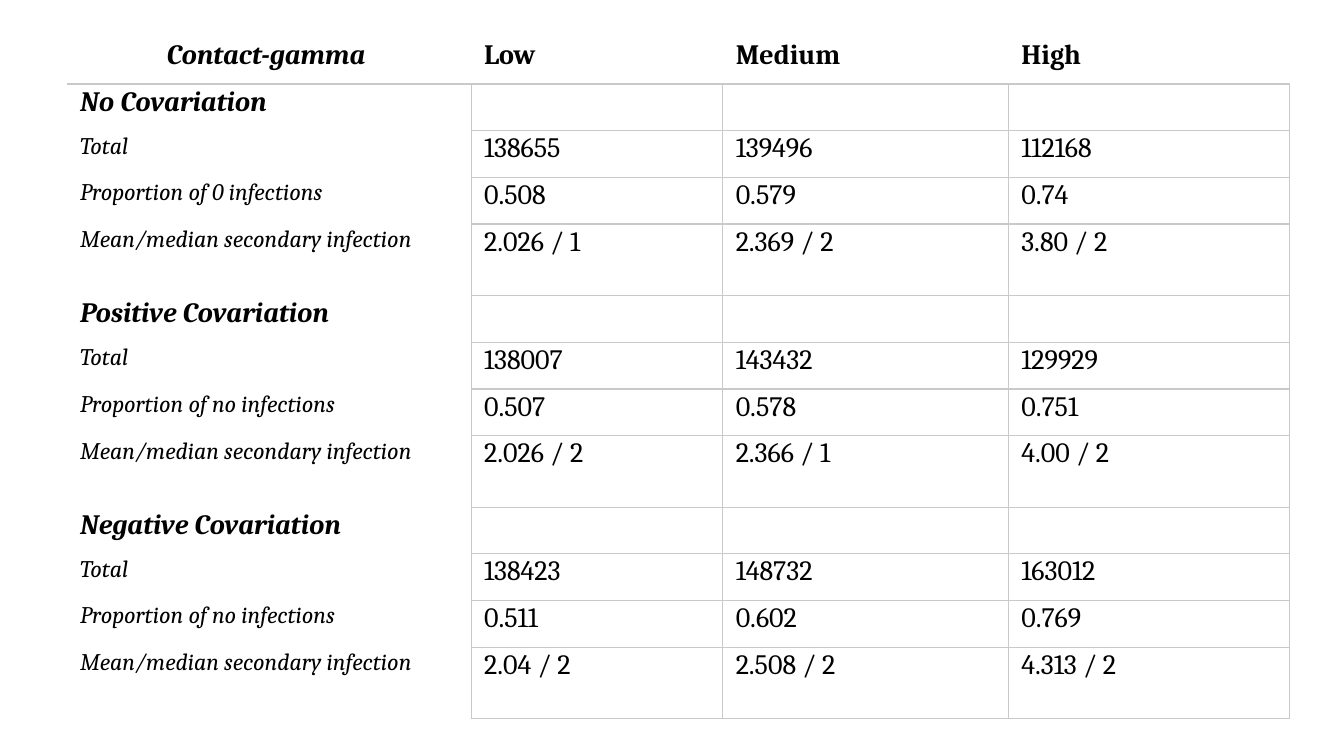
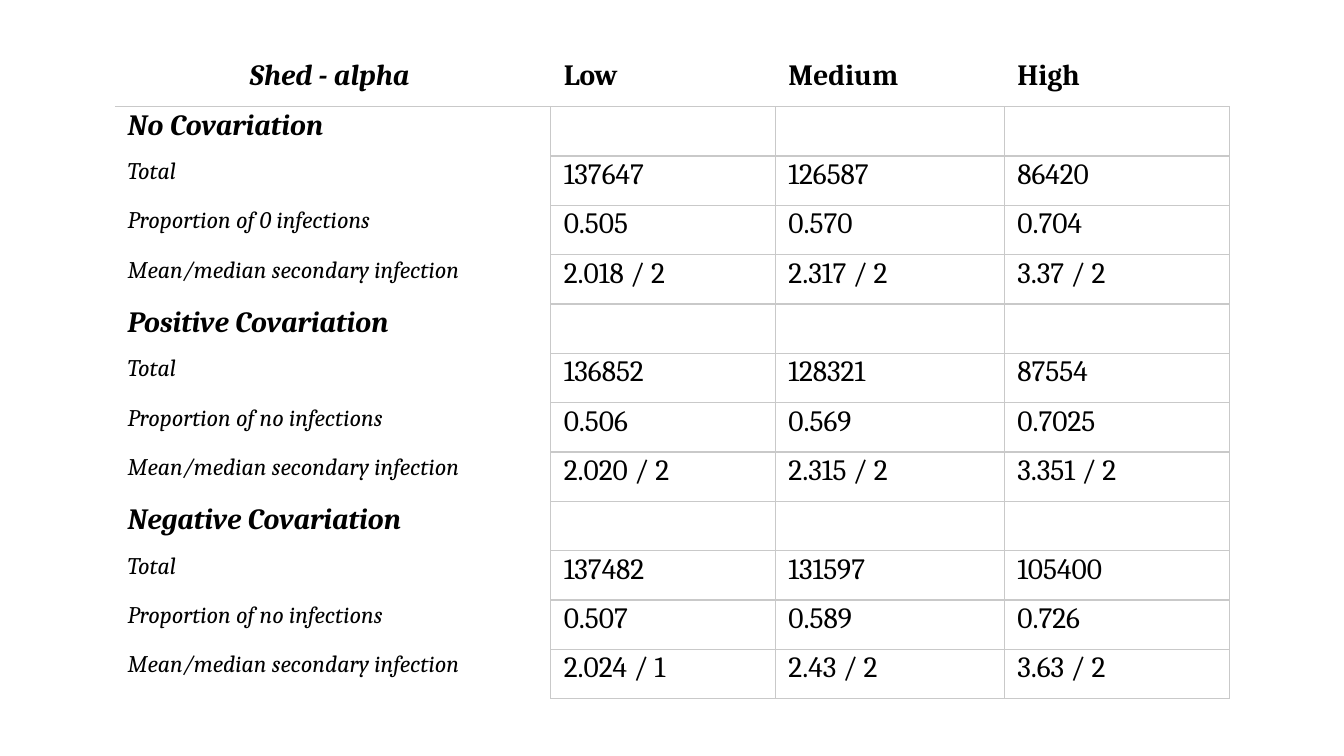
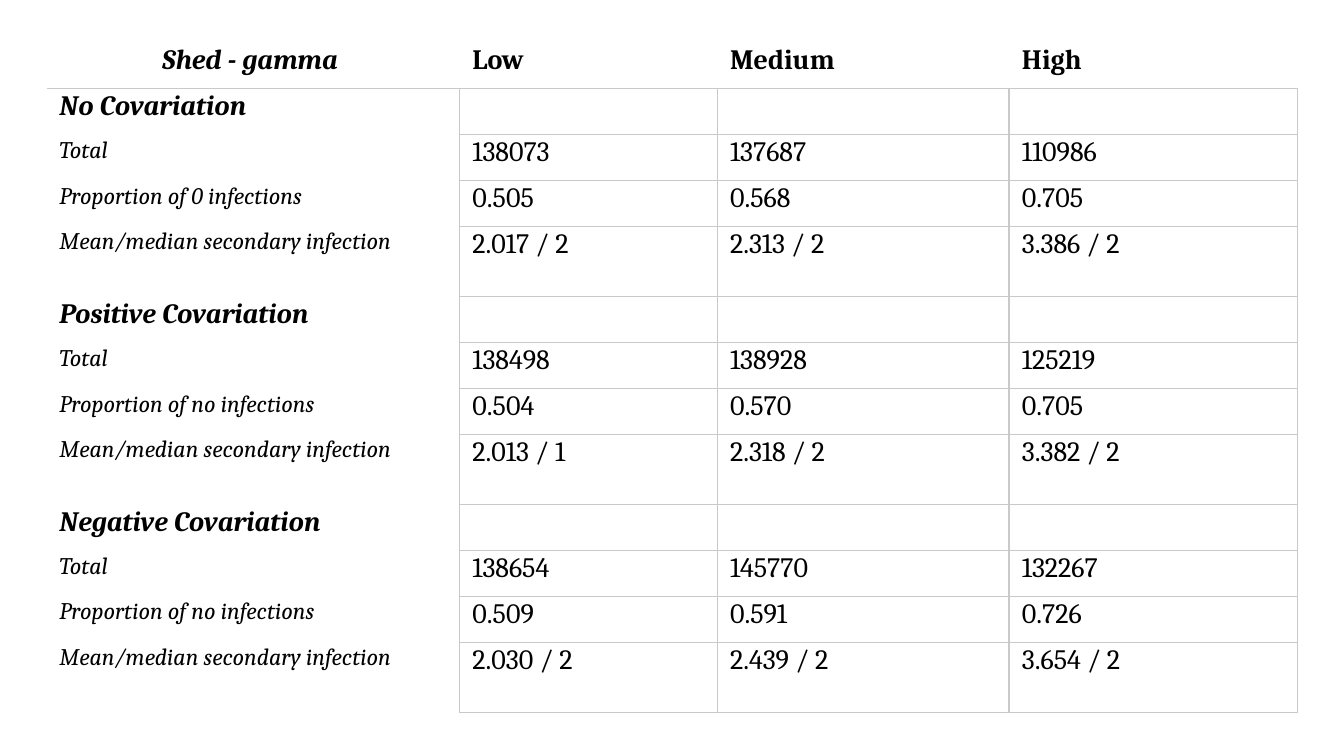
"""Build three tables of secondary infections by covariation scenario."""
import dataclasses

import pptx
import pptx.dml.color
import pptx.enum.text
import pptx.oxml
import pptx.oxml.ns
import pptx.util

Pt = pptx.util.Pt

LEVELS = ("Low", "Medium", "High")
SCENARIOS = (
    ("No Covariation", "Proportion of 0 infections"),
    ("Positive Covariation", "Proportion of no infections"),
    ("Negative Covariation", "Proportion of no infections"),
)
TABLES = (
    {
        "title": "Contact-gamma ",
        "left": 48, "top": 26.7, "size": 20,
        "columns": (288.6, 179.8, 204, 201),
        "row": 33.35, "last_row": 51.1,
        "values": (
            (("138655", "139496", "112168"),
             ("0.508", "0.579", "0.74"),
             ("2.026 / 1", "2.369 / 2", "3.80 / 2")),
            (("138007", "143432", "129929"),
             ("0.507", "0.578", "0.751"),
             ("2.026 / 2", "2.366 / 1", "4.00 / 2")),
            (("138423", "148732", "163012"),
             ("0.511", "0.602", "0.769"),
             ("2.04 / 2", "2.508 / 2", "4.313 / 2")),
        ),
    },
    {
        "title": "Shed - alpha ",
        "left": 82, "top": 41, "size": 21,
        "columns": (311.5, 160.5, 163.5, 160.5),
        "row": 35.25, "last_row": 35.25,
        "values": (
            (("137647", "126587", "86420"),
             ("0.505", "0.570", "0.704"),
             ("2.018 / 2", "2.317 / 2", "3.37 / 2")),
            (("136852", "128321", "87554"),
             ("0.506", "0.569", "0.7025"),
             ("2.020 / 2", "2.315 / 2", "3.351 / 2")),
            (("137482", "131597", "105400"),
             ("0.507", "0.589", "0.726"),
             ("2.024 / 1", "2.43 / 2", "3.63 / 2")),
        ),
    },
    {
        "title": "Shed - gamma ",
        "left": 33.3, "top": 30.5, "size": 20,
        "columns": (295, 184, 208.5, 206),
        "row": 32.85, "last_row": 50.1,
        "values": (
            (("138073", "137687", "110986"),
             ("0.505", "0.568", "0.705"),
             ("2.017 / 2", "2.313 / 2", "3.386 / 2")),
            (("138498", "138928", "125219"),
             ("0.504", "0.570", "0.705"),
             ("2.013 / 1", "2.318 / 2", "3.382 / 2")),
            (("138654", "145770", "132267"),
             ("0.509", "0.591", "0.726"),
             ("2.030 / 2", "2.439 / 2", "3.654 / 2")),
        ),
    },
)


@dataclasses.dataclass(frozen=True)
class Theme:
    font: str = "Cambria"
    ink: str = "000000"
    rule: str = "C9C9C9"
    rule_width: float = 1
    label_size: float = 17
    side_margin: float = 9.2
    top_margin: float = 1.4


THEME = Theme()


def write(cell, text, size, bold=False, italic=False, centred=False):
    paragraph = cell.text_frame.paragraphs[0]
    if centred:
        paragraph.alignment = pptx.enum.text.PP_ALIGN.CENTER
    span = paragraph.add_run()
    span.text = text
    font = span.font
    font.name, font.size, font.bold, font.italic = THEME.font, Pt(size), bold, italic
    font.color.rgb = pptx.dml.color.RGBColor.from_string(THEME.ink)


def draw_borders(cell, sides):
    properties = cell._tc.get_or_add_tcPr()
    namespace = pptx.oxml.ns.nsdecls("a")
    for side in "LRTB":
        paint = (f'<a:solidFill><a:srgbClr val="{THEME.rule}"/></a:solidFill>'
                 if side in sides else "<a:noFill/>")
        properties.append(pptx.oxml.parse_xml(
            f'<a:ln{side} {namespace} w="{int(Pt(THEME.rule_width))}">{paint}</a:ln{side}>'))


def border_sides(row, column):
    if row == 0:
        return "B"
    if column == 0:
        return "RT" if row == 1 else "R"
    return "LRTB"


def table_rows(content):
    """Yield each row as its kind and its texts."""
    yield "header", (content["title"], *LEVELS)
    for (scenario, proportion), values in zip(SCENARIOS, content["values"]):
        yield "scenario", (scenario,)
        labels = ("Total", proportion, "Mean/median secondary infection")
        for label, figures in zip(labels, values):
            yield "measure", (label, *figures)


def add_infection_table(page, content):
    rows = list(table_rows(content))
    group = len(rows) // len(SCENARIOS)
    heights = [content["last_row"] if index and index % group == 0 else content["row"]
               for index in range(len(rows))]
    widths = content["columns"]
    table = page.shapes.add_table(
        len(rows), len(widths), Pt(content["left"]), Pt(content["top"]),
        Pt(sum(widths)), Pt(sum(heights))).table
    table.first_row = table.horz_banding = False
    for column, width in zip(table.columns, widths):
        column.width = Pt(width)
    for row, height in zip(table.rows, heights):
        row.height = Pt(height)
    for row, (kind, texts) in enumerate(rows):
        for column in range(len(widths)):
            cell = table.cell(row, column)
            cell.margin_left = cell.margin_right = Pt(THEME.side_margin)
            cell.margin_top, cell.margin_bottom = Pt(THEME.top_margin), 0
            draw_borders(cell, border_sides(row, column))
            cell.fill.background()
            if column < len(texts):
                is_label = kind == "measure" and column == 0
                write(cell, texts[column],
                      size=THEME.label_size if is_label else content["size"],
                      bold=kind != "measure", italic=column == 0,
                      centred=kind == "header" and column == 0)


def main():
    deck = pptx.Presentation()
    deck.slide_width, deck.slide_height = Pt(960), Pt(540)
    for content in TABLES:
        add_infection_table(deck.slides.add_slide(deck.slide_layouts[6]), content)
    deck.save("out.pptx")


if __name__ == "__main__":
    main()
